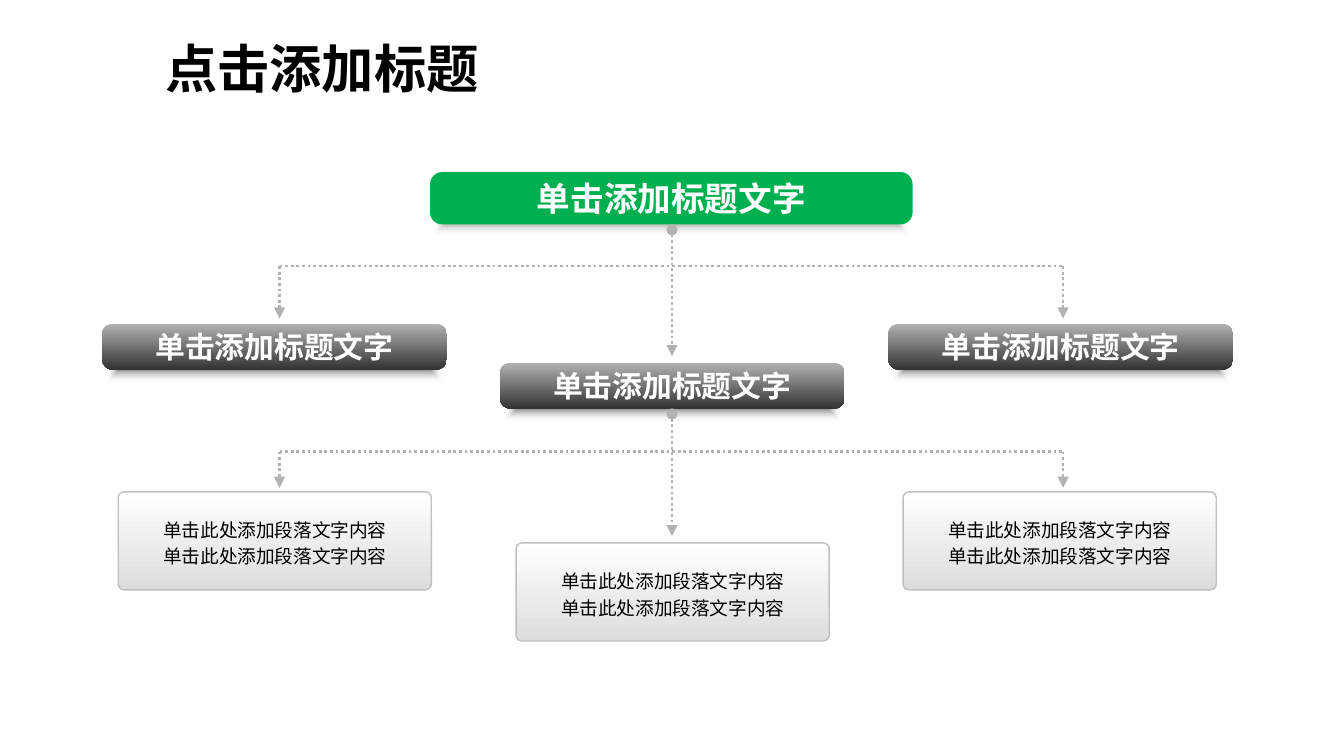
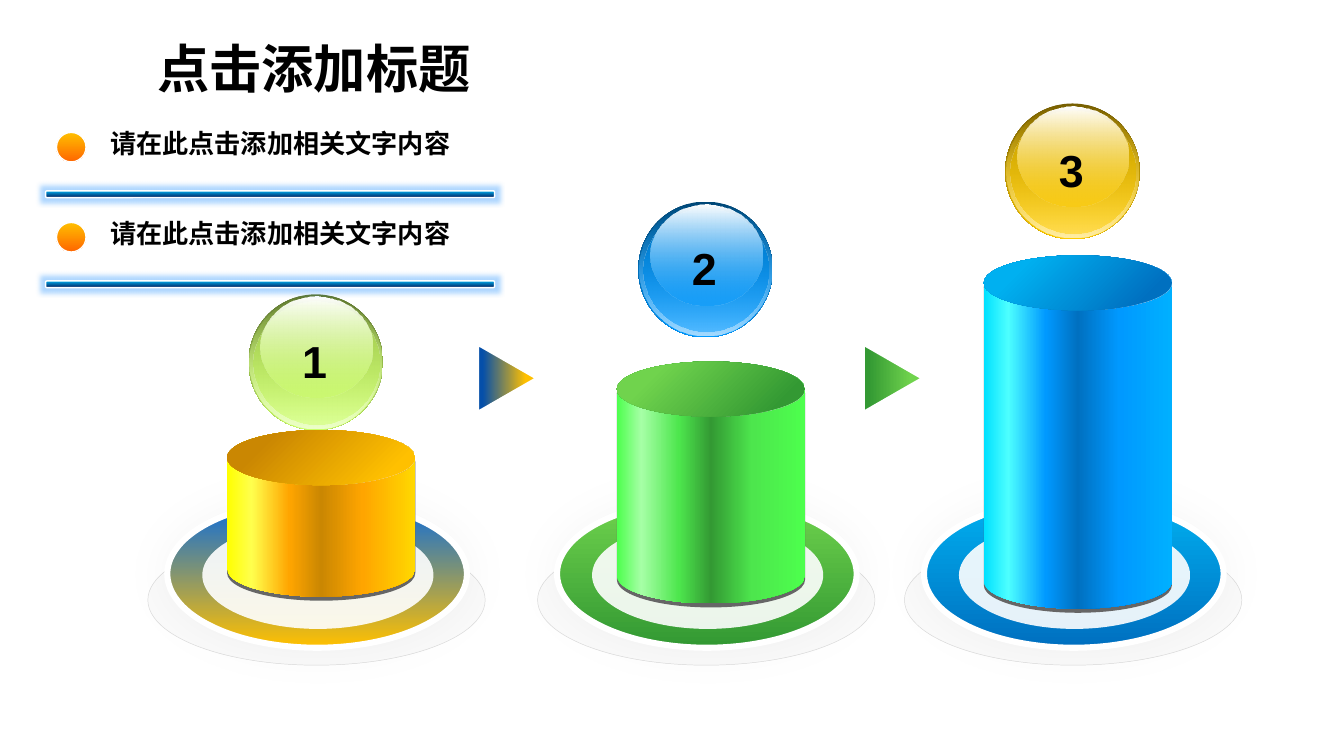
from lxml import etree
from pptx import Presentation
from pptx.dml.color import RGBColor
from pptx.enum.dml import MSO_LINE
from pptx.enum.shapes import MSO_CONNECTOR, MSO_SHAPE
from pptx.enum.text import MSO_ANCHOR, PP_ALIGN
from pptx.oxml.ns import qn
from pptx.util import Inches, Pt

# Enum members
RECT, ROUND, OVAL = MSO_SHAPE.RECTANGLE, MSO_SHAPE.ROUNDED_RECTANGLE, MSO_SHAPE.OVAL
CAN, ARROW = MSO_SHAPE.CAN, MSO_SHAPE.ISOSCELES_TRIANGLE
STRAIGHT, DOTS = MSO_CONNECTOR.STRAIGHT, MSO_LINE.ROUND_DOT
LEFT, CENTER = PP_ALIGN.LEFT, PP_ALIGN.CENTER
MIDDLE, TOP = MSO_ANCHOR.MIDDLE, MSO_ANCHOR.TOP

# Widescreen page; grid of 100 columns, with rows of the same size
WIDE = Inches(10)
HIGH = WIDE * 9 // 16
CELL = WIDE // 100


def rgb(code):
    return RGBColor.from_string(code)


# Colours
BLACK, WHITE = rgb("000000"), rgb("FFFFFF")
GREEN, SILVER, GREY = rgb("00B050"), rgb("B2B2B2"), rgb("333333")
PALE, EDGE, MIST, RIM = rgb("DDDDDD"), rgb("C0C0C0"), rgb("FAFAFA"), rgb("D9D9D9")
SKY, NAVY, GLOW = rgb("00B0F0"), rgb("002060"), rgb("3399FF")
GOLD, ORANGE, SHADE = rgb("FFC000"), rgb("FF6600"), rgb("666666")
LEAF, MOSS, SEA = rgb("70D34D"), rgb("339933"), rgb("0070C0")
BROWN, COBALT, INK = rgb("CA8702"), rgb("0669E1"), rgb("054FA9")

# Text formats
TITLE = {"size": Pt(28), "bold": True, "name": "Noto Sans CJK SC"}
HEAD = {"size": Pt(18), "bold": True, "name": "Arial"}
SUB = {**HEAD, "size": Pt(16)}
BODY = {"size": Pt(10), "bold": False, "name": "Arial"}
ITEM = {**HEAD, "size": Pt(14)}
DIGIT = {**HEAD, "size": Pt(24)}

# Wording
TITLE_TEXT = "点击添加标题"
HEAD_TEXT = "单击添加标题文字"
BODY_TEXT = "单击此处添加段落文字内容"
ITEM_TEXT = "请在此点击添加相关文字内容"

# Stations: left, ball top, can top, can foot, ring, lid, can sides, ball colours
SPOTS = [
    (11, 21.9, 32, 44.4, (COBALT, GOLD), (GOLD, BROWN),
     ("FFFF00", "FFFF4D", "FFA500", "CA8702", "FFA500", "FFD800"),
     ("5E762F", "CCFF66", "EDFFCA", "A2CA51")),
    (40, 15, 26.9, 44.9, (LEAF, MOSS), (MOSS, LEAF),
     ("4DFF4D", "A6FFA6", "4DE64D", "339933", "4DE64D", "4DFF4D"),
     ("004776", "0099FF", "A6DBFF", "0079CA")),
    (67.3, 7.7, 19, 45.3, (SKY, SEA), (SEA, SKY),
     ("00E0FF", "4DFFFF", "0099FF", "0070C0", "0099FF", "00B0FF"),
     ("765E00", "FFCC00", "FFEDA6", "CAA200")),
]


def cells(*sizes):
    return [round(size * CELL) for size in sizes]


def node(parent, tag, **attrs):
    child = etree.SubElement(parent, qn("a:" + tag))
    for key, value in attrs.items():
        child.set(key, str(value))
    return child


def tint(parent, color, alpha=100):
    mark = node(parent, "srgbClr", val=color)
    if alpha < 100:
        node(mark, "alpha", val=alpha * 1000)


def blend(shape, stops, angle=90):
    """Fill with (place, colour, alpha) stops; no angle spreads from the middle."""
    shape.fill.gradient()
    grad = shape.element.spPr.find(qn("a:gradFill"))
    for child in list(grad):
        grad.remove(child)
    grad.set("rotWithShape", "1")
    row = node(grad, "gsLst")
    for place, *color in stops:
        tint(node(row, "gs", pos=place * 1000), *color)
    if angle is None:
        way = node(grad, "path", path="shape")
        node(way, "fillToRect", l=50000, t=50000, r=50000, b=50000)
    else:
        node(grad, "lin", ang=angle * 60000, scaled=0)


def add_shape(slide, kind, box, fill=None, line=None, width=0.75, round_by=None):
    shape = slide.shapes.add_shape(kind, *cells(*box))
    shape.shadow.inherit = False
    if fill is not None:
        shape.fill.solid()
        shape.fill.fore_color.rgb = fill
    if line is None:
        shape.line.fill.background()
    else:
        shape.line.color.rgb = line
        shape.line.width = Pt(width)
    if round_by is not None:
        shape.adjustments[0] = round_by
    return shape


def effect(shape, tag, color, alpha, **attrs):
    effects = shape.element.spPr.find(qn("a:effectLst"))
    tint(node(effects, tag, **attrs), color, alpha)


def write(shape, lines, form, color=BLACK, align=CENTER, anchor=MIDDLE,
          spacing=1.0, wrap=False):
    frame = shape.text_frame
    frame.word_wrap, frame.vertical_anchor = wrap, anchor
    for i, line in enumerate(lines):
        para = frame.paragraphs[0] if i == 0 else frame.add_paragraph()
        para.alignment, para.line_spacing = align, spacing
        para.space_before = Pt(0)
        run = para.add_run()
        run.text = line
        for key, value in form.items():
            setattr(run.font, key, value)
        run.font.color.rgb = color
        node(run.font._element, "ea", typeface=form["name"])


def add_label(slide, box, text, form, wrap):
    label = slide.shapes.add_textbox(*cells(*box))
    write(label, [text], form, align=LEFT, anchor=TOP, wrap=wrap)


def add_slide(deck, left):
    slide = deck.slides.add_slide(deck.slide_layouts[5])
    title = slide.shapes.title
    title.left, title.top, title.width, title.height = cells(left, 2.2, 26.7, 6.3)
    frame = title.text_frame
    for side in ("left", "right", "top", "bottom"):
        setattr(frame, "margin_" + side, CELL)
    write(title, [TITLE_TEXT], TITLE, align=LEFT, spacing=0.9)
    return slide


# Slide 1: tree of boxes
def add_head(slide, box, form, fill=None):
    left, top, width, height = box
    inset = 0.3
    cast = add_shape(slide, RECT, (left + inset, top + 1.7, width - 2 * inset,
                                   height * 0.78))
    blend(cast, [(0, BLACK, 85), (100, WHITE, 0)], None)
    bar = add_shape(slide, ROUND, box, fill, round_by=0.23)
    if fill is None:
        blend(bar, [(0, SILVER), (100, GREY)])
    write(bar, [HEAD_TEXT], form, WHITE)


def add_card(slide, left, top):
    card = add_shape(slide, ROUND, (left, top, 23.3, 7.3), line=EDGE, round_by=0.06)
    blend(card, [(0, WHITE), (100, PALE)])
    write(card, [BODY_TEXT] * 2, BODY, spacing=1.2)


def add_line(slide, start, stop, **ends):
    link = slide.shapes.add_connector(STRAIGHT, *cells(*start, *stop))
    link.line.color.rgb = SILVER
    link.line.width = Pt(1.5)
    link.line.dash_style = DOTS
    for tag, kind in ends.items():
        node(link.line._ln, tag, type=kind)
    node(link.element.spPr, "effectLst")


def add_tree(slide, top, bar, side_foot, mid_foot):
    sides = (20.8, 79.1)
    add_line(slide, (sides[0], bar), (sides[1], bar))
    for x in sides:
        add_line(slide, (x, bar), (x, side_foot), tailEnd="triangle")
    add_line(slide, (50, top), (50, mid_foot), headEnd="oval", tailEnd="triangle")


def make_tree(deck):
    slide = add_slide(deck, 11.3)
    for left, top in ((38.4, 40.4), (8.8, 36.6), (67.2, 36.6)):
        add_card(slide, left, top)
    add_head(slide, (32, 12.8, 35.9, 3.9), HEAD, GREEN)
    for left, top in ((37.2, 27), (7.6, 24.1), (66.1, 24.1)):
        add_head(slide, (left, top, 25.65, 3.4), SUB)
    add_tree(slide, 17.1, 19.8, 23.7, 26.5)
    add_tree(slide, 30.8, 33.6, 36.3, 39.9)


# Slide 2: rising steps
def add_base(slide, left, colors):
    add_shape(slide, OVAL, (left, 39.8, 25.1, 9.7), MIST, RIM, 0.25)
    ring = add_shape(slide, OVAL, (left + 1.45, 37.2, 22.3, 11), line=WHITE, width=3.25)
    blend(ring, zip((0, 99), colors))
    effect(ring, "outerShdw", BLACK, 4, blurRad=Pt(25), dist=0)
    core = add_shape(slide, OVAL, (left + 4.05, 38.8, 17.2, 8))
    blend(core, [(0, WHITE, 89), (100, WHITE, 89)])


def add_can(slide, left, top, foot, lid, sides):
    width, height, depth = 14, foot - top, 4.1
    bend = depth / min(width, height)
    box = (left, top, width, height)
    add_shape(slide, CAN, (left, top + 0.3, width, height), SHADE, round_by=bend)
    body = add_shape(slide, CAN, box, round_by=bend)
    blend(body, zip((0, 13, 33, 50, 72, 100), sides), 0)
    cap = add_shape(slide, OVAL, (left, top, width, depth))
    blend(cap, zip((15, 80), lid), 225)


def add_ball(slide, left, top, digit, colors):
    dark, base, pale, mid = colors
    layers = [
        (0, 0, 10, 10.1, (dark,), (base,)),
        (0.1, 0.1, 9.8, 9.9, (base, 0), (pale,)),
        (0.4, 0.5, 9.3, 9.2, (mid,), (base, 48)),
        (0.9, 0.2, 8.3, 7.5, (WHITE,), (base, 38)),
    ]
    for dx, dy, width, height, start, stop in layers:
        disc = add_shape(slide, OVAL, (left + dx, top + dy, width, height))
        blend(disc, [(0, *start), (100, *stop)])
    add_label(slide, (left + 3, top + 2.4, 3.9, 5.1), digit, DIGIT, False)


def add_item(slide, top):
    rule = add_shape(slide, ROUND, (3.4, top + 5.2, 33.4, 0.5), line=WHITE)
    blend(rule, [(0, SKY), (100, NAVY)])
    effect(rule, "glow", GLOW, 40, rad=Pt(5))
    dot = add_shape(slide, OVAL, (4.2, top + 0.85, 2.2, 2.2), line=WHITE)
    blend(dot, [(0, GOLD), (100, ORANGE)])
    add_label(slide, (7.2, top, 27.5, 3.3), ITEM_TEXT, ITEM, True)


def make_steps(deck):
    slide = add_slide(deck, 10.7)
    for i, (left, ball, top, foot, ring, lid, sides, colors) in enumerate(SPOTS, 1):
        add_base(slide, left, ring)
        add_can(slide, left + 5.9, top, foot, lid, sides)
        add_ball(slide, left + 7.5, ball, str(i), colors)
    for left, colors in ((35.1, (INK, GOLD)), (63.8, (MOSS, LEAF))):
        arrow = add_shape(slide, ARROW, (left, 25.8, 5.4, 4.7), line=WHITE, width=3)
        arrow.rotation = 90
        blend(arrow, zip((10, 78), colors), 270)
    for top in (9, 15.7):
        add_item(slide, top)


def main():
    deck = Presentation()
    deck.slide_width = WIDE
    deck.slide_height = HIGH
    # The template's 4:3 page type no longer applies
    deck.element.find(qn("p:sldSz")).attrib.pop("type", None)
    make_tree(deck)
    make_steps(deck)
    deck.save("out.pptx")


if __name__ == "__main__":
    main()
